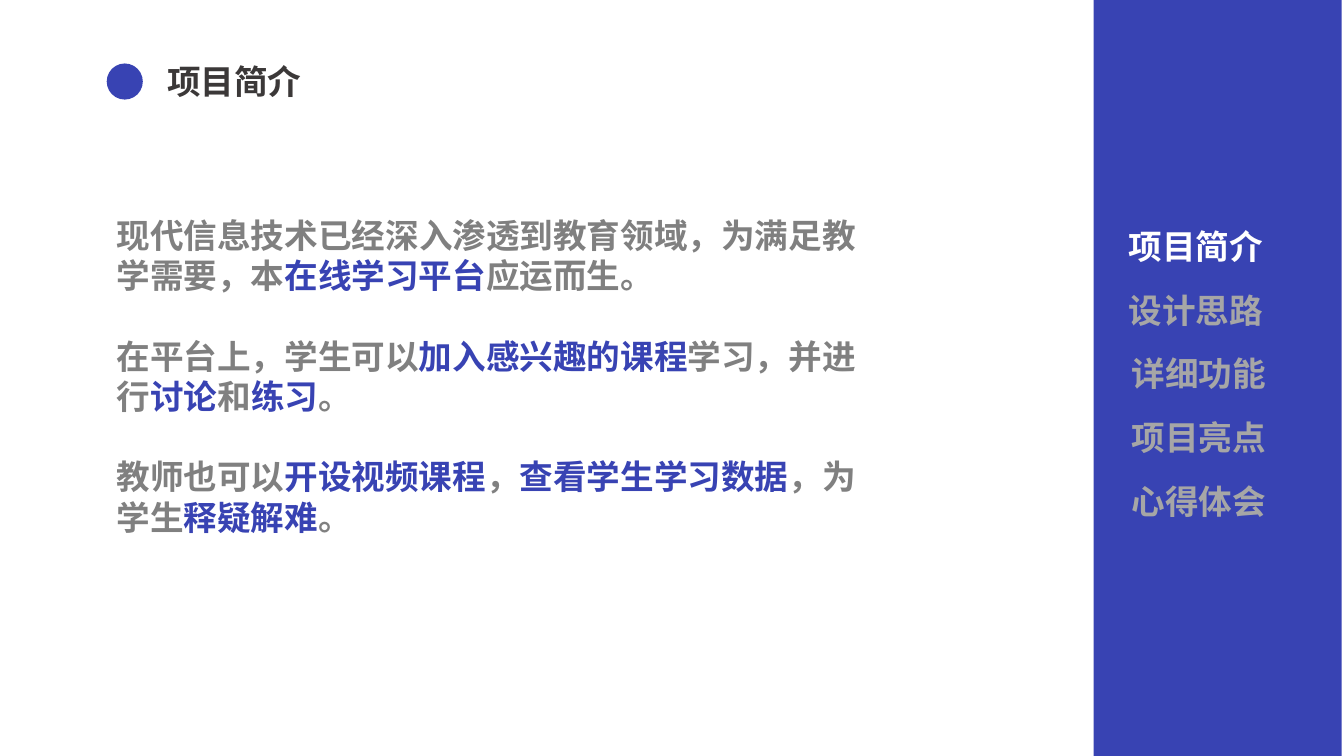
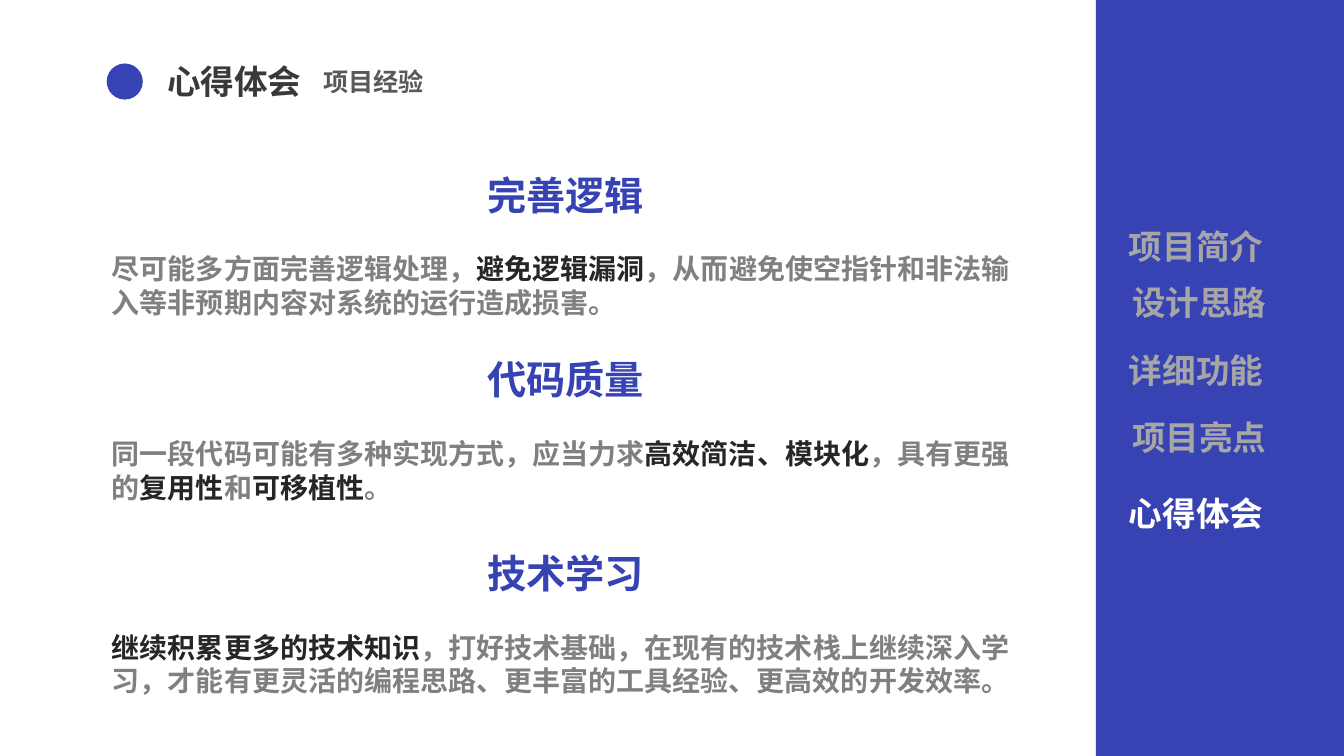
import pptx
import pptx.dml.color
import pptx.enum.shapes
import pptx.enum.text
import pptx.oxml.ns
import pptx.util
import lxml.etree

Cm = pptx.util.Cm
Pt = pptx.util.Pt
SHAPE = pptx.enum.shapes.MSO_SHAPE
ALIGN = pptx.enum.text.PP_ALIGN

FONT = "Noto Sans CJK SC"
BLUE, WHITE = "3843B3", "FFFFFF"
TITLE, SUBTITLE = "3B3838", "595959"
MUTED, BODY, STRONG = "A6A6A6", "808080", "262626"
SLIDE_W, SLIDE_H = 33.87, 19.05
BAND_W = 6.25
LINE_HEIGHT = 1.2
CHAPTERS = ["项目简介", "设计思路", "详细功能", "项目亮点", "心得体会"]

INTRO = [
    "现代信息技术已经深入渗透到教育领域，为满足教学需要，本*在线学习平台*应运而生。",
    "在平台上，学生可以*加入感兴趣的课程*学习，并进行*讨论*和*练习*。",
    "教师也可以*开设视频课程*，*查看学生学习数据*，为学生*释疑解难*。",
]
LESSONS = [
    (4.19, "完善逻辑",
     "尽可能多方面完善逻辑处理，*避免逻辑漏洞*，从而避免使空指针和非法输入等非预期内容对系统的运行造成损害。"),
    (8.84, "代码质量",
     "同一段代码可能有多种实现方式，应当力求*高效简洁、模块化*，具有更强的*复用性*和*可移植性*。"),
    (13.72, "技术学习",
     "*继续积累更多的技术知识*，打好技术基础，在现有的技术栈上继续深入学习，"
     "才能有更灵活的编程思路、更丰富的工具经验、更高效的开发效率。"),
]


def rgb(value):
    """Turn a hex string into a colour."""
    return pptx.dml.color.RGBColor.from_string(value)


def add_block(slide, kind, left, top, width, height):
    """Draw a plain blue shape."""
    block = slide.shapes.add_shape(kind, Cm(left), Cm(top), Cm(width), Cm(height))
    block.shadow.inherit = False
    block.fill.solid()
    block.fill.fore_color.rgb = rgb(BLUE)
    block.line.fill.background()


def add_frame(slide, left, top, width, height):
    """Place a wrapping text box and return its text frame."""
    frame = slide.shapes.add_textbox(Cm(left), Cm(top), Cm(width), Cm(height)).text_frame
    frame.word_wrap = True
    return frame


def write(paragraph, text, size, color, accent=None, gap=0, align=ALIGN.LEFT):
    """Fill a paragraph run by run, with the parts between asterisks accented."""
    paragraph.alignment = align
    paragraph.line_spacing = Pt(size * LINE_HEIGHT)
    paragraph.space_before = Pt(gap)
    for index, part in enumerate(text.split("*")):
        if not part:
            continue
        run = paragraph.add_run()
        run.text = part
        run.font.size = Pt(size)
        run.font.bold = True
        run.font.color.rgb = rgb(accent if index % 2 else color)
        run.font.name = FONT
        east_asian = lxml.etree.SubElement(run.font._element, pptx.oxml.ns.qn("a:ea"))
        east_asian.set("typeface", FONT)


def add_label(slide, text, left, top, width, height, size, color):
    """Place a single line of text."""
    write(add_frame(slide, left, top, width, height).paragraphs[0], text, size, color)


def add_heading(slide, title, subtitle=None, left=2.69, top=1.42):
    """Draw the dot, the title and the optional subtitle."""
    add_block(slide, SHAPE.OVAL, left, top + 0.18, 0.91, 0.91)
    add_label(slide, title, left + 1.27, top, 7.39, 1.27, 24, TITLE)
    if subtitle:
        add_label(slide, subtitle, left + 5.21, top + 0.13, 7.39, 1.02, 18, SUBTITLE)


def add_menu(slide, current, left, places):
    """Draw the side band with the chapter list, the current one in white."""
    add_block(slide, SHAPE.RECTANGLE, left, 0, BAND_W, SLIDE_H)
    for chapter, (indent, top) in zip(CHAPTERS, places):
        color = WHITE if chapter == current else MUTED
        add_label(slide, chapter, left + indent, top, 4.95, 1.27, 24, color)


def add_intro(slide, left, top, width, height):
    """Write the project introduction paragraphs."""
    frame = add_frame(slide, left, top, width, height)
    for index, text in enumerate(INTRO):
        paragraph = frame.add_paragraph() if index else frame.paragraphs[0]
        write(paragraph, text, 24, BODY, BLUE, gap=28.8 if index else 0)


def add_lesson(slide, left, top, width, heading, text):
    """Write one lesson: a centred heading above its explanation."""
    frame = add_frame(slide, left, top, width, 4.01)
    write(frame.paragraphs[0], heading, 28, BLUE, align=ALIGN.CENTER)
    write(frame.add_paragraph(), text, 20, BODY, STRONG, gap=24)


def build_intro_slide(slide):
    """Build the project introduction slide."""
    indents = [0.63, 0.63, 0.71, 0.71, 0.71]
    places = [(indent, 5.56 + 1.61 * row) for row, indent in enumerate(indents)]
    add_menu(slide, CHAPTERS[0], 27.56, places)
    add_heading(slide, CHAPTERS[0])
    add_intro(slide, 2.69, 5.28, 19.41, 8.46)


def build_lessons_slide(slide):
    """Build the lessons learned slide."""
    places = [(0.58, 5.56), (0.66, 6.99), (0.58, 8.69), (0.66, 10.39), (0.58, 12.29)]
    add_menu(slide, CHAPTERS[-1], SLIDE_W - BAND_W, places)
    add_heading(slide, CHAPTERS[-1], "项目经验")
    for top, heading, text in LESSONS:
        add_lesson(slide, 2.57, top, 23.37, heading, text)


def main():
    """Build and save the presentation."""
    deck = pptx.Presentation()
    deck.slide_width, deck.slide_height = Cm(SLIDE_W), Cm(SLIDE_H)
    for build in (build_intro_slide, build_lessons_slide):
        build(deck.slides.add_slide(deck.slide_layouts[6]))
    deck.save("out.pptx")


if __name__ == "__main__":
    main()
